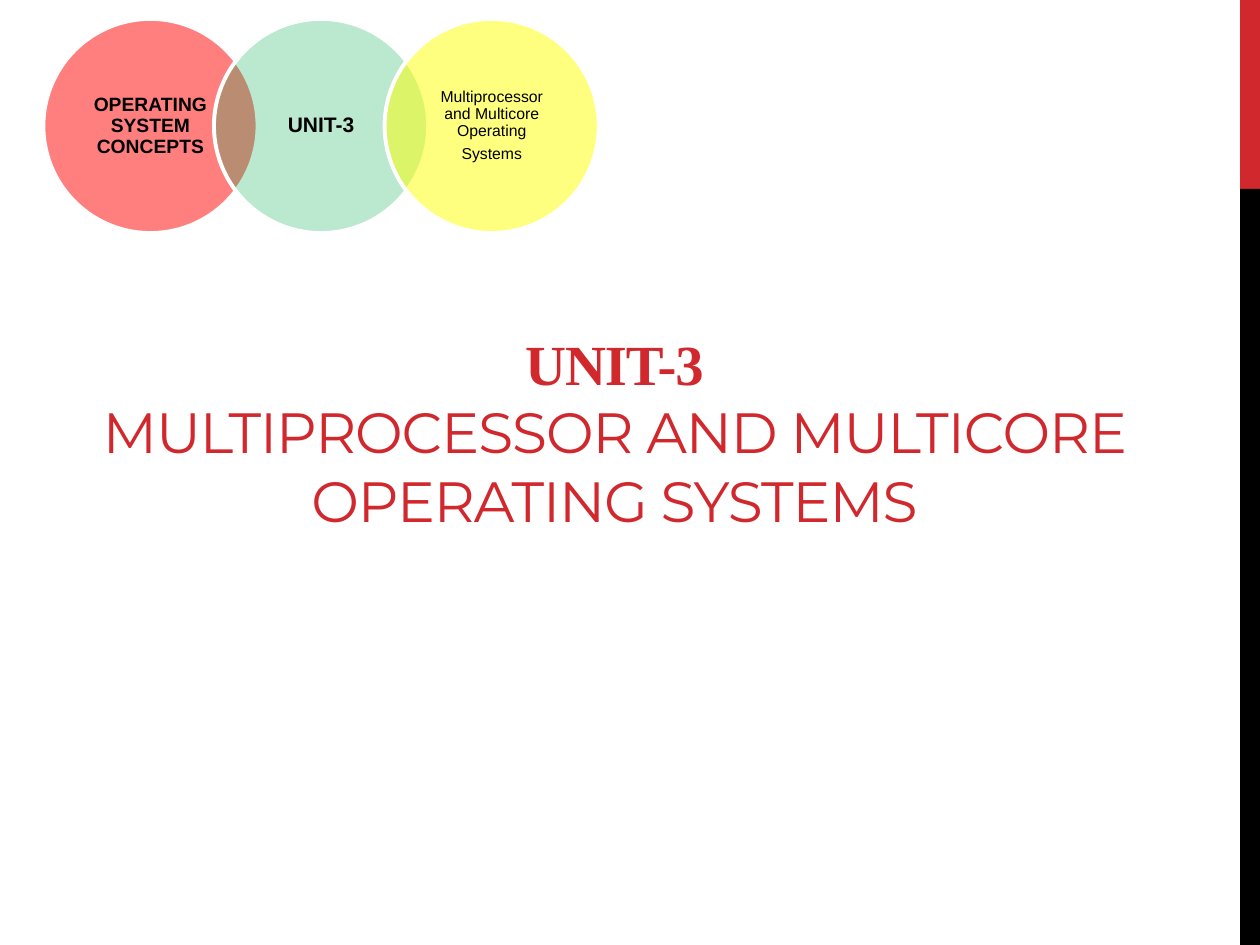
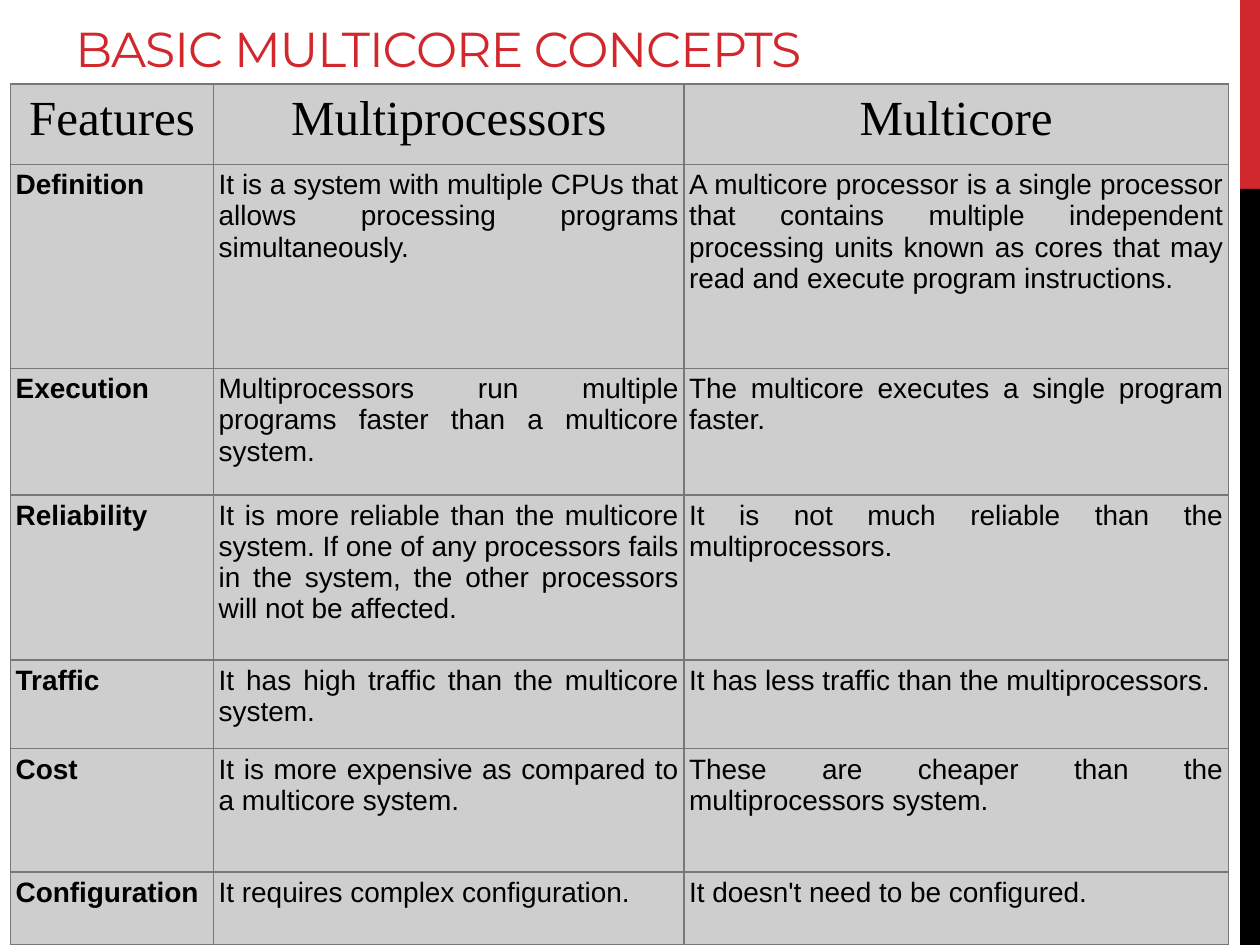
"""Build two slides on multiprocessor and multicore systems."""
from lxml.etree import SubElement as Sub
from pptx import Presentation as Deck
from pptx.dml.color import RGBColor as Rgb
from pptx.enum.shapes import MSO_SHAPE as Form
from pptx.enum.text import MSO_ANCHOR as Anchor, PP_ALIGN as Align
from pptx.oxml.ns import qn
from pptx.util import Pt

HUES = {"red": "D1282E", "black": "000000", "white": "FFFFFF", "cell": "CECECE",
        "rule": "777777", "rose": "FF0000", "green": "00B050", "yellow": "FFFF00"}
SANS, SERIF, HEAD = "Arial", "Times New Roman", "Montserrat"
WIDE, HIGH = 720, 540

RINGS = [("rose", 50, 11, True, ["OPERATING SYSTEM CONCEPTS"]),
         ("green", 27, 12, True, ["UNIT-3"]),
         ("yellow", 50, 9, False, ["Multiprocessor and Multicore Operating", "Systems"])]
COLS = [116, 268.8, 311.2]
TALL = [46, 116.6, 72.4, 94.3, 50.6, 70.4, 41.8]
ROWS = [
    ("Features", "Multiprocessors", "Multicore"),
    ("Definition",
     "It is a system with multiple CPUs that allows processing programs simultaneously.",
     "A multicore processor is a single processor that contains multiple independent "
     "processing units known as cores that may read and execute program instructions."),
    ("Execution",
     "Multiprocessors run multiple programs faster than a multicore system.",
     "The multicore executes a single program faster."),
    ("Reliability",
     "It is more reliable than the multicore system. If one of any processors fails "
     "in the system, the other processors will not be affected.",
     "It is not much reliable than the multiprocessors."),
    ("Traffic", "It has high traffic than the multicore system.",
     "It has less traffic than the multiprocessors."),
    ("Cost", "It is more expensive as compared to a multicore system.",
     "These are cheaper than the multiprocessors system."),
    ("Configuration", "It requires complex configuration.",
     "It doesn't need to be configured."),
]


def shade(name):
    return Rgb.from_string(HUES[name])


def write(para, text, size, face, hue="black", bold=False, track=0):
    run = para.add_run()
    run.text = text
    font = run.font
    font.size, font.name, font.bold = Pt(size), face, bold
    font.color.rgb = shade(hue)
    if track:
        font._element.set("spc", str(track))


def pad(item, left, top, right, low):
    item.margin_left, item.margin_top = Pt(left), Pt(top)
    item.margin_right, item.margin_bottom = Pt(right), Pt(low)


def frame(slide, box, anchor, inset):
    text = slide.shapes.add_textbox(*map(Pt, box)).text_frame
    text.word_wrap, text.vertical_anchor = True, anchor
    pad(text, *inset)
    return text


def paint(slide, form, box, hue):
    shape = slide.shapes.add_shape(form, *map(Pt, box))
    shape.shadow.inherit = False
    shape.fill.solid()
    shape.fill.fore_color.rgb = shade(hue)
    shape.line.fill.background()
    return shape


def base(deck):
    slide = deck.slides.add_slide(deck.slide_layouts[6])
    left, cut = 708.7, 108
    paint(slide, Form.RECTANGLE, (left, 0, WIDE - left, cut), "red")
    paint(slide, Form.RECTANGLE, (left, cut, WIDE - left, HIGH - cut), "black")
    return slide


def title(slide, box, lines, size, align, low):
    text = frame(slide, box, Anchor.BOTTOM, (7.2, 3.6, 7.2, low))
    for i, (line, face, bold) in enumerate(lines):
        para = text.add_paragraph() if i else text.paragraphs[0]
        para.alignment = align
        write(para, line, size, face, "red", bold, -60)


def chain(slide, box):
    left, top, width, size = box
    step = (width - size) / (len(RINGS) - 1)
    side = 86.4
    gap = (size - side) / 2
    for i, (hue, alpha, point, bold, lines) in enumerate(RINGS):
        x = left + i * step
        ring = paint(slide, Form.OVAL, (x, top, size, size), hue)
        tint = ring._element.spPr.find(qn("a:solidFill")).find(qn("a:srgbClr"))
        Sub(tint, qn("a:alpha"), val=str(alpha * 1000))
        ring.line.color.rgb, ring.line.width = shade("white"), Pt(2.25)
        text = frame(slide, (x + gap, top + gap, side, side), Anchor.MIDDLE,
                     (6.5, 1, 6.5, 1))
        for j, line in enumerate(lines):
            para = text.add_paragraph() if j else text.paragraphs[0]
            para.alignment, para.line_spacing = Align.CENTER, 0.9
            para.space_after = Pt(round(point * 0.35, 1))
            write(para, line, point, SANS, bold=bold)


def edge(cell):
    props = cell._tc.get_or_add_tcPr()
    for side in "LRTB":
        line = Sub(props, qn("a:ln" + side), w=str(Pt(1)))
        Sub(Sub(line, qn("a:solidFill")), qn("a:srgbClr"), val=HUES["rule"])


def grid(slide, box):
    table = slide.shapes.add_table(len(ROWS), len(COLS), *map(Pt, box)).table
    table.first_row = table.horz_banding = False
    for col, width in zip(table.columns, COLS):
        col.width = Pt(width)
    for r, (row, tall) in enumerate(zip(ROWS, TALL)):
        table.rows[r].height = Pt(tall)
        for c, words in enumerate(row):
            cell = table.cell(r, c)
            edge(cell)
            cell.fill.solid()
            cell.fill.fore_color.rgb = shade("cell")
            pad(cell, *[3 if r else 4.3] * 4)
            para = cell.text_frame.paragraphs[0]
            para.alignment = Align.JUSTIFY if r else Align.CENTER
            if r:
                write(para, words, 16, SANS, bold=c == 0)
            else:
                write(para, words, 28, SERIF)


def cover(deck):
    slide = base(deck)
    title(slide, (12.2, 24, 678, 360),
          [("UNIT-3", SERIF, True),
           ("MULTIPROCESSOR AND MULTICORE OPERATING SYSTEMS", HEAD, False)],
          32.4, Align.CENTER, 79.2)
    chain(slide, (24.8, 10.8, 317.4, 122.4))


def compare(deck):
    slide = base(deck)
    title(slide, (36, 0, 630, 48), [("BASIC MULTICORE CONCEPTS", HEAD, False)],
          28, Align.LEFT, 3.6)
    grid(slide, (6, 48, sum(COLS), sum(TALL)))


def main():
    deck = Deck()
    deck.slide_width, deck.slide_height = Pt(WIDE), Pt(HIGH)
    cover(deck)
    compare(deck)
    deck.save("out.pptx")


if __name__ == "__main__":
    main()
